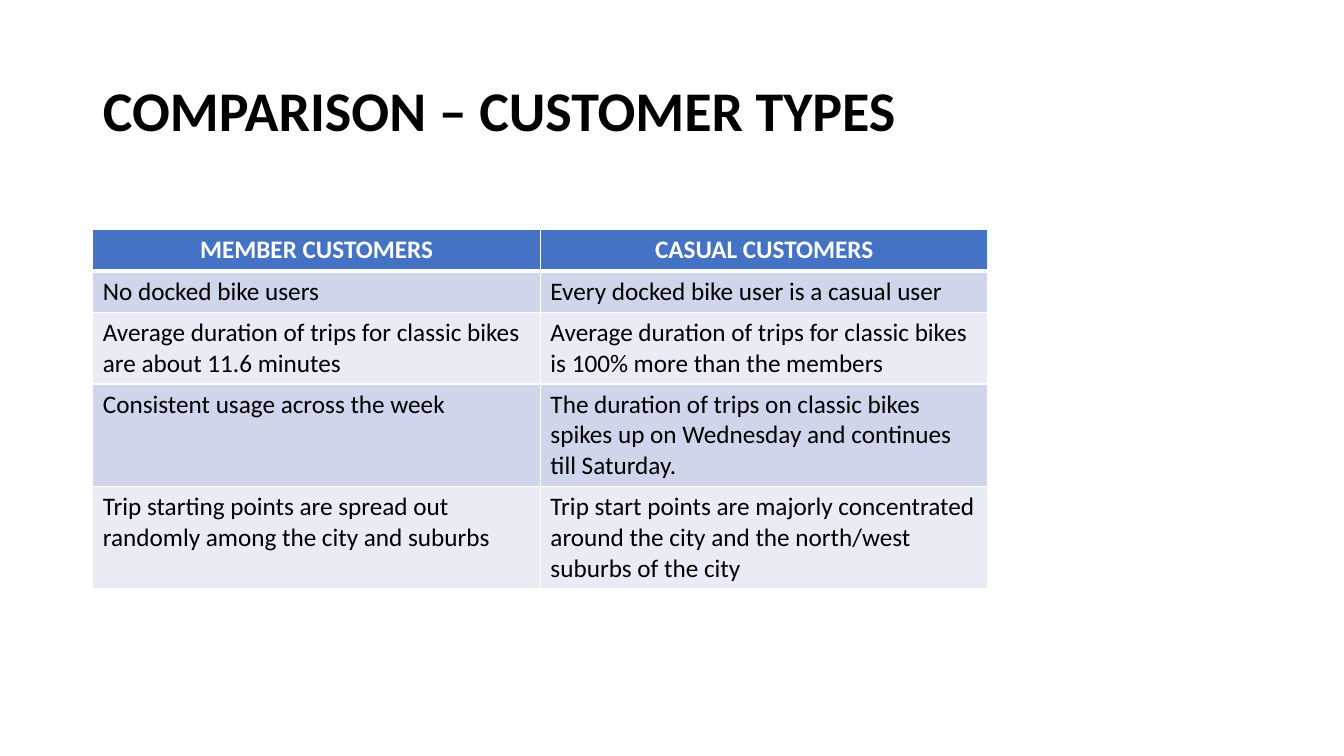
from lxml.etree import SubElement
from pptx import Presentation
from pptx.dml.color import RGBColor
from pptx.enum.text import MSO_ANCHOR, PP_ALIGN
from pptx.oxml.ns import qn
from pptx.util import Inches, Pt

COLORS = {"text": "000000", "white": "FFFFFF", "header": "4472C4",
          "odd": "CFD5EA", "even": "E9EBF5"}

COMPARISON = [
    ("MEMBER CUSTOMERS", "CASUAL CUSTOMERS"),
    ("No docked bike users", "Every docked bike user is a casual user"),
    ("Average duration of trips for classic bikes are about 11.6 minutes",
     "Average duration of trips for classic bikes is 100% more than the members"),
    ("Consistent usage across the week",
     "The duration of trips on classic bikes spikes up on Wednesday "
     "and continues till Saturday."),
    ("Trip starting points are spread out randomly among the city and suburbs",
     "Trip start points are majorly concentrated around the city "
     "and the north/west suburbs of the city"),
]


def write(frame, text, size=18, color="text", bold=False,
          align=PP_ALIGN.LEFT, spacing=None):
    """Put one formatted paragraph into a text frame."""
    paragraph = frame.paragraphs[0]
    paragraph.alignment = align
    paragraph.line_spacing = spacing
    run = paragraph.add_run()
    run.text = text
    run.font.name = "Calibri"
    run.font.size = Pt(size)
    run.font.bold = bold
    run.font.color.rgb = RGBColor.from_string(COLORS[color])


def rule_cell(cell, **widths):
    """Draw white cell borders, given as side=points."""
    properties = cell._tc.get_or_add_tcPr()
    for side, points in widths.items():
        line = SubElement(properties, qn(f"a:ln{side}"), w=str(Pt(points)))
        fill = SubElement(line, qn("a:solidFill"))
        SubElement(fill, qn("a:srgbClr"), val=COLORS["white"])


deck = Presentation()
deck.slide_width, deck.slide_height = Inches(13.33), Inches(7.5)
slide = deck.slides.add_slide(deck.slide_layouts[5])

margin = Inches(0.92)
column_width, row_height = Inches(4.44), Inches(0.41)

heading = slide.shapes.title
heading.left, heading.top = margin, Inches(0.4)
heading.width, heading.height = deck.slide_width - 2 * margin, Inches(1.45)
heading.text_frame.vertical_anchor = MSO_ANCHOR.MIDDLE
write(heading.text_frame, "COMPARISON – CUSTOMER TYPES",
      size=40, bold=True, spacing=0.9)

row_count, column_count = len(COMPARISON), len(COMPARISON[0])
customers = slide.shapes.add_table(
    row_count, column_count, margin, Inches(2.28),
    column_count * column_width, row_count * row_height).table

for r, findings in enumerate(COMPARISON):
    is_header = r == 0
    band = "header" if is_header else "odd" if r % 2 else "even"
    for c, finding in enumerate(findings):
        cell = customers.cell(r, c)
        rule_cell(cell, L=1, R=1, T=3 if r == 1 else 1, B=3 if is_header else 1)
        cell.fill.solid()
        cell.fill.fore_color.rgb = RGBColor.from_string(COLORS[band])
        write(cell.text_frame, finding, bold=is_header,
              color="white" if is_header else "text",
              align=PP_ALIGN.CENTER if is_header else PP_ALIGN.LEFT)

deck.save("out.pptx")
